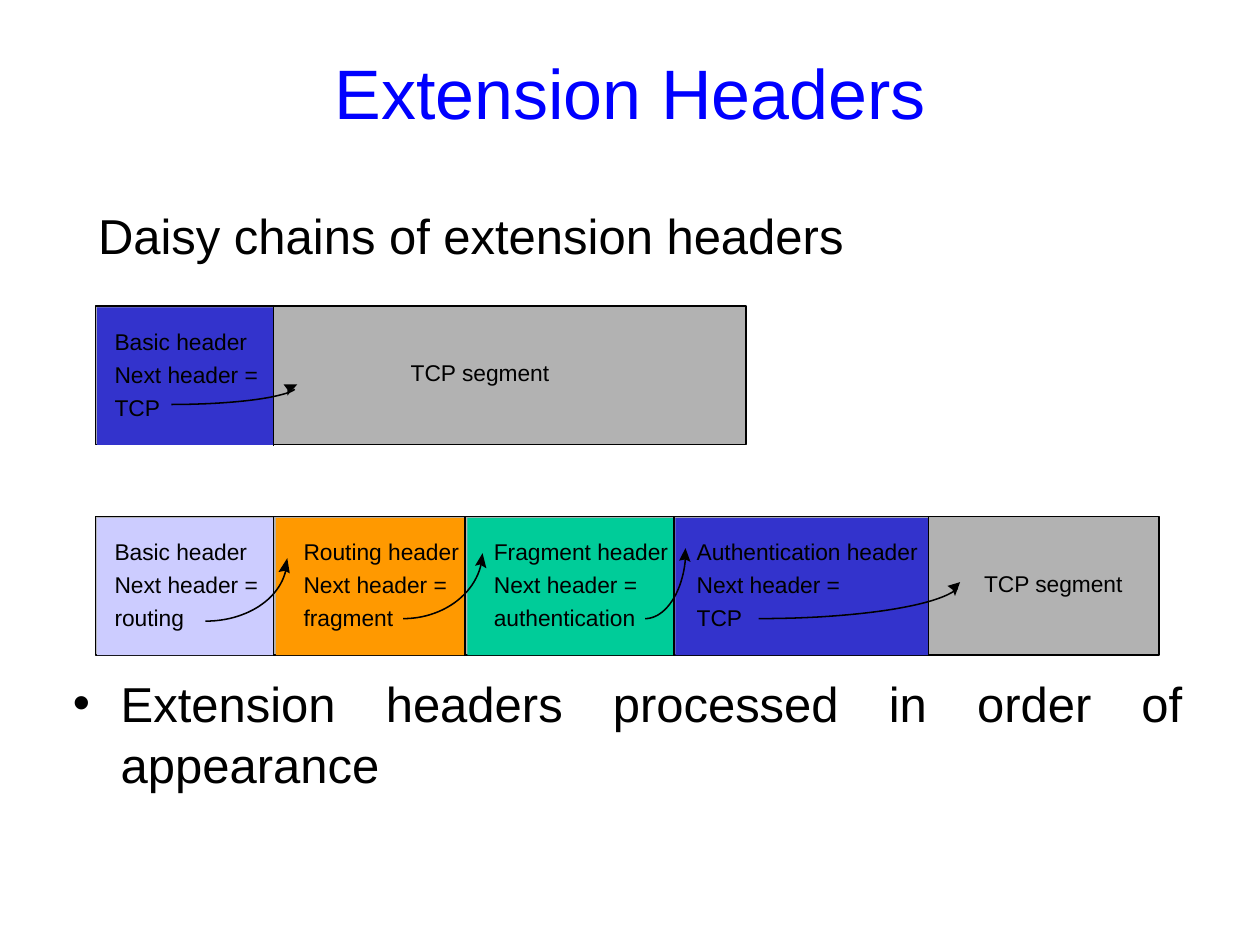
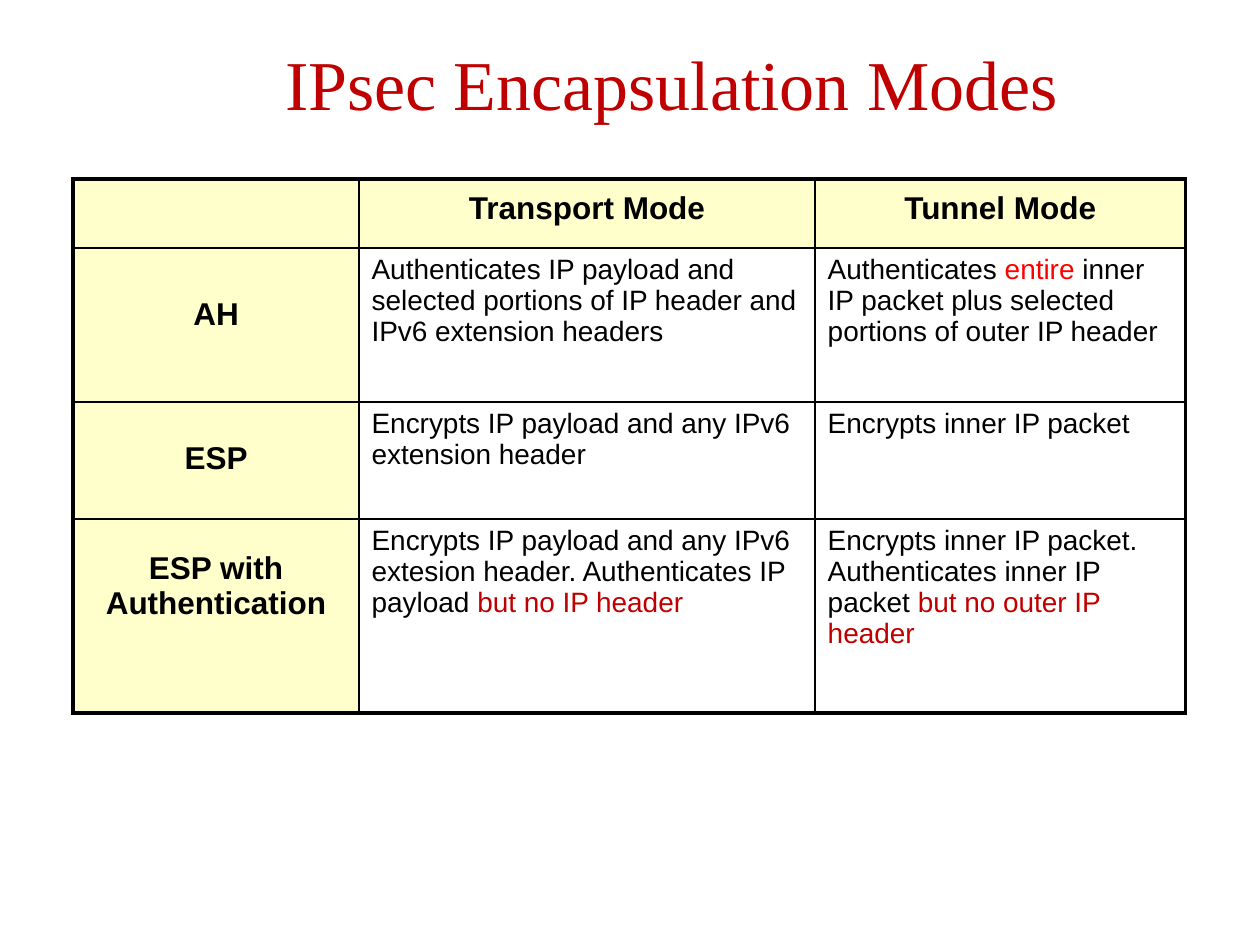
from lxml import etree
from pptx import Presentation
from pptx.dml.color import RGBColor
from pptx.enum.shapes import MSO_CONNECTOR, MSO_SHAPE
from pptx.enum.text import MSO_ANCHOR, PP_ALIGN
from pptx.oxml.ns import qn
from pptx.util import Inches, Pt

RECT = MSO_SHAPE.RECTANGLE
LINE = MSO_CONNECTOR.STRAIGHT
TOP, MIDDLE = MSO_ANCHOR.TOP, MSO_ANCHOR.MIDDLE
LEFT, CENTER, JUSTIFY = PP_ALIGN.LEFT, PP_ALIGN.CENTER, PP_ALIGN.JUSTIFY

SANS, SERIF = "Arial", "Times New Roman"
BLACK, BLUE, RED, DARK = "000000", "0000FF", "FF0000", "C00000"
GRAY, NAVY, LILAC = "B2B2B2", "3333CC", "CCCCFF"
ORANGE, GREEN, CREAM, WHITE = "FF9900", "00CC99", "FFFFCC", "FFFFFF"
THIN = Pt(0.88)


def paint(fill, color):
    fill.solid()
    fill.fore_color.rgb = RGBColor.from_string(color)


def write(para, parts, size, align=LEFT, font=SANS, bold=False):
    """Fill a paragraph with (text, color) runs."""
    para.alignment = align
    for text, color in parts:
        run = para.add_run()
        run.text = text
        run.font.size, run.font.name, run.font.bold = Pt(size), font, bold
        run.font.color.rgb = RGBColor.from_string(color)


prs = Presentation()
prs.slide_width, prs.slide_height = Inches(10), Inches(7.5)
blank = prs.slide_layouts[6]
chain, modes = prs.slides.add_slide(blank), prs.slides.add_slide(blank)

# Titles
titles = [
    (chain, "Extension Headers", (0.5, 0.3, 9, 0.85), BLUE, SANS, MIDDLE, 0.05),
    (modes, "IPsec Encapsulation Modes", (0.83, 0.21, 9, 1.25), DARK, SERIF, TOP, 0.11),
]
for slide, text, area, color, font, anchor, inset in titles:
    frame = slide.shapes.add_textbox(*map(Inches, area)).text_frame
    frame.word_wrap = True
    frame.vertical_anchor = anchor
    frame.margin_top = Inches(inset)
    write(frame.paragraphs[0], [(text, color)], 40, CENTER, font)

# Slide 1: lead line and closing bullet
shapes = chain.shapes
lead = shapes.add_textbox(Inches(0.68), Inches(1.58), Inches(6.19), Inches(0.57))
lead.text_frame.word_wrap = False
write(lead.text_frame.paragraphs[0], [("Daisy chains of extension headers", BLACK)], 28)

note = shapes.add_textbox(Inches(0.48), Inches(5.27), Inches(9), Inches(1.15))
note.text_frame.word_wrap = True
para = note.text_frame.paragraphs[0]
para.line_spacing = 1.05
props = para._p.get_or_add_pPr()
props.set("marL", str(Inches(0.38)))
props.set("indent", str(-Inches(0.38)))
etree.SubElement(props, qn("a:buFont")).set("typeface", SANS)
etree.SubElement(props, qn("a:buChar")).set("char", "•")
write(para, [("Extension headers processed in order of appearance", BLACK)], 28, JUSTIFY)

# Packets: top, width, colored headers (left, width, fill), labels (left, row, lines)
NEXT = "Next header ="
packets = [
    (2.43, 5.16, [(0.77, 1.4, NAVY)],
     [(0.91, 0, ["Basic header", NEXT, "TCP"]), (3.26, 1, ["TCP segment"])]),
    (4.1, 8.44,
     [(0.77, 1.4, LILAC), (2.19, 1.5, ORANGE), (3.71, 1.64, GREEN), (5.36, 2.01, NAVY)],
     [(0.91, 0, ["Basic header", NEXT, "routing"]),
      (2.41, 0, ["Routing header", NEXT, "fragment"]),
      (3.92, 0, ["Fragment header", NEXT, "authentication"]),
      (5.53, 0, ["Authentication header", NEXT, "TCP"]),
      (7.81, 1, ["TCP segment"])]),
]
for top, width, heads, labels in packets:
    bar = [(0.76, top, width, 1.1, GRAY)]
    for left, top_, wide, high, color in bar + [
            (x, top + 0.01, w, 1.09, c) for x, w, c in heads]:
        box = shapes.add_shape(RECT, Inches(left), Inches(top_), Inches(wide), Inches(high))
        box.shadow.inherit = False
        paint(box.fill, color)
        if color == GRAY:
            paint(box.line.fill, BLACK)
            box.line.width = THIN
        else:
            box.line.fill.background()

    for left, row, lines in labels:
        tag = shapes.add_textbox(Inches(left), Inches(top + 0.17 + row * 0.25),
                                 Inches(1.76 if row == 0 else 1.11),
                                 Inches(0.25 * len(lines)))
        frame = tag.text_frame
        frame.word_wrap = False
        frame.margin_left = frame.margin_right = 0
        frame.margin_top = frame.margin_bottom = 0
        for i, text in enumerate(lines):
            para = frame.add_paragraph() if i else frame.paragraphs[0]
            if i:
                para.space_before = Pt(3.2)
            write(para, [(text, BLACK)], 13)

    for left, wide, _ in heads:
        x = Inches(left + wide)
        rule = shapes.add_connector(LINE, x, Inches(top), x, Inches(top + 1.11))
        paint(rule.line.fill, BLACK)
        rule.line.width = THIN
        etree.SubElement(rule._element.spPr, qn("a:effectLst"))

# Curved arrows: Bezier points from tail to tip, then the arrowhead outline
arrows = [
    ([(1.36, 3.21), (1.83, 3.21), (2.24, 3.16), (2.34, 3.09)],
     [(2.28, 3.14), (2.28, 3.09), (2.25, 3.05), (2.36, 3.05)]),
    ([(1.63, 4.93), (1.95, 4.93), (2.22, 4.76), (2.27, 4.52)],
     [(2.3, 4.55), (2.26, 4.53), (2.21, 4.54), (2.28, 4.43)]),
    ([(3.2, 4.91), (3.51, 4.91), (3.77, 4.72), (3.82, 4.47)],
     [(3.86, 4.51), (3.81, 4.48), (3.77, 4.49), (3.83, 4.39)]),
    ([(5.12, 4.91), (5.28, 4.91), (5.42, 4.7), (5.44, 4.43)],
     [(5.48, 4.46), (5.44, 4.44), (5.39, 4.45), (5.44, 4.35)]),
    ([(6.02, 4.91), (6.79, 4.91), (7.45, 4.81), (7.6, 4.67)],
     [(7.58, 4.73), (7.56, 4.68), (7.52, 4.65), (7.62, 4.62)]),
]
STEPS = 24
for bend, tip in arrows:
    curve = []
    for i in range(STEPS + 1):
        t = i / STEPS
        mix = [(1 - t) ** 3, 3 * t * (1 - t) ** 2, 3 * t * t * (1 - t), t ** 3]
        curve.append([sum(m * p[axis] for m, p in zip(mix, bend)) for axis in (0, 1)])
    for points, close in ((curve, False), (tip, True)):
        spots = [(Inches(x), Inches(y)) for x, y in points]
        path = shapes.build_freeform(*spots[0])
        path.add_line_segments(spots[1:], close=close)
        form = path.convert_to_shape()
        form.shadow.inherit = False
        if close:
            paint(form.fill, BLACK)
            form.line.fill.background()
        else:
            form.fill.background()
            paint(form.line.fill, BLACK)
            form.line.width = THIN

# Slide 2: table of modes
cols, rows = [2.27, 3.62, 2.94], [0.55, 1.22, 0.93, 1.54]
insets = [0.05, 0.39, 0.31, 0.25]
cells = [
    [[], [("Transport Mode", BLACK)], [("Tunnel Mode", BLACK)]],
    [[("AH", BLACK)],
     [("Authenticates IP payload and selected portions of IP header and "
       "IPv6 extension headers", BLACK)],
     [("Authenticates ", BLACK), ("entire ", RED),
      ("inner IP packet plus selected portions of outer IP header", BLACK)]],
    [[("ESP", BLACK)],
     [("Encrypts IP payload and any IPv6 extension header", BLACK)],
     [("Encrypts inner IP packet", BLACK)]],
    [[("ESP with Authentication", BLACK)],
     [("Encrypts IP payload and any IPv6 extesion header. Authenticates IP payload ", BLACK),
      ("but no IP header", DARK)],
     [("Encrypts inner IP packet. Authenticates inner IP packet ", BLACK),
      ("but no outer IP header", DARK)]],
]
grid = modes.shapes.add_table(4, 3, Inches(0.58), Inches(1.42),
                              Inches(sum(cols)), Inches(sum(rows))).table
grid.first_row = grid.horz_banding = False
for c, wide in enumerate(cols):
    grid.columns[c].width = Inches(wide)
for r, high in enumerate(rows):
    grid.rows[r].height = Inches(high)
    for c, parts in enumerate(cells[r]):
        cell = grid.cell(r, c)
        head = r == 0 or c == 0
        cell.margin_top = Inches(insets[r] if c == 0 else 0.05)
        para = cell.text_frame.paragraphs[0]
        if r == 0:
            para.line_spacing = 1.15
        write(para, parts, 18 if head else 16, CENTER if head else LEFT, bold=head)

        # Borders come before the fill; the outer frame is heavier
        props = cell._tc.get_or_add_tcPr()
        edges = {"a:lnL": c == 0, "a:lnR": c == 2, "a:lnT": r == 0, "a:lnB": r == 3}
        for name, outer in edges.items():
            edge = etree.SubElement(props, qn(name), w=str(Pt(2.25 if outer else 1)))
            solid = etree.SubElement(edge, qn("a:solidFill"))
            etree.SubElement(solid, qn("a:srgbClr"), val=BLACK)
        paint(cell.fill, CREAM if head else WHITE)

prs.save("out.pptx")
